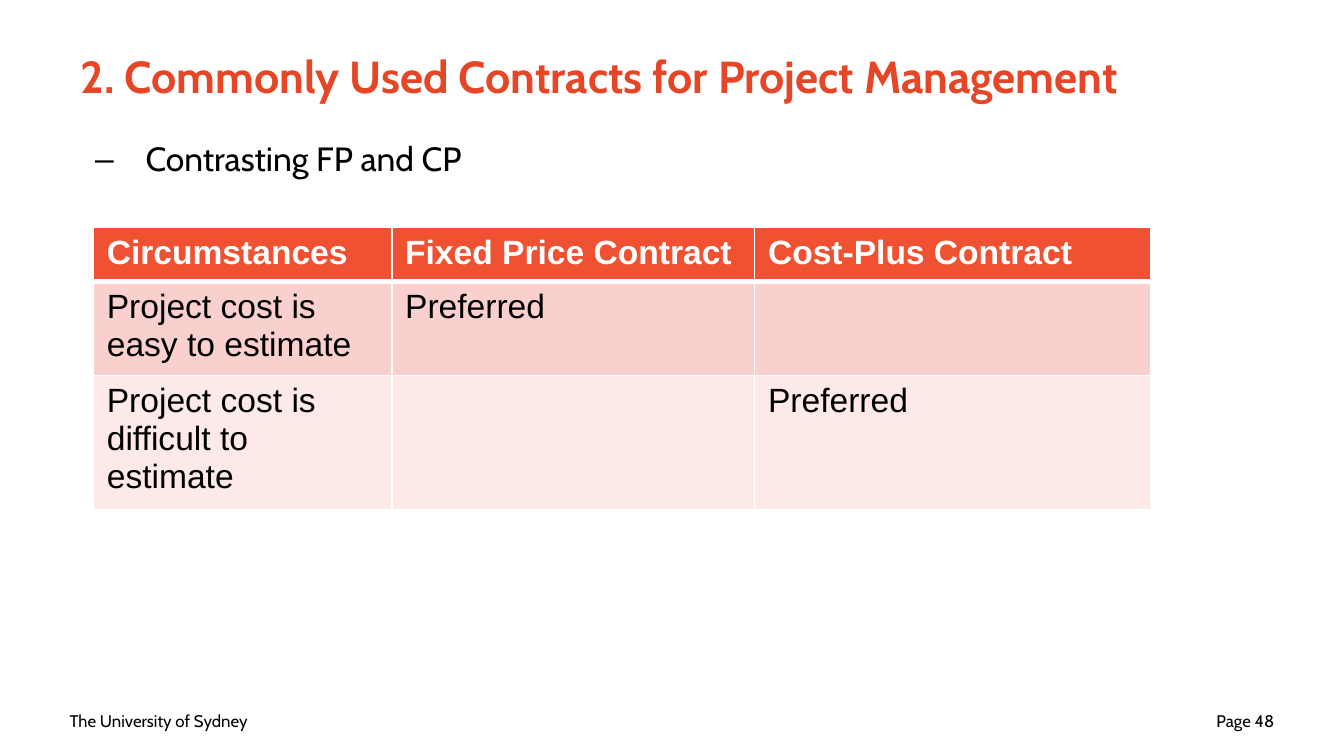
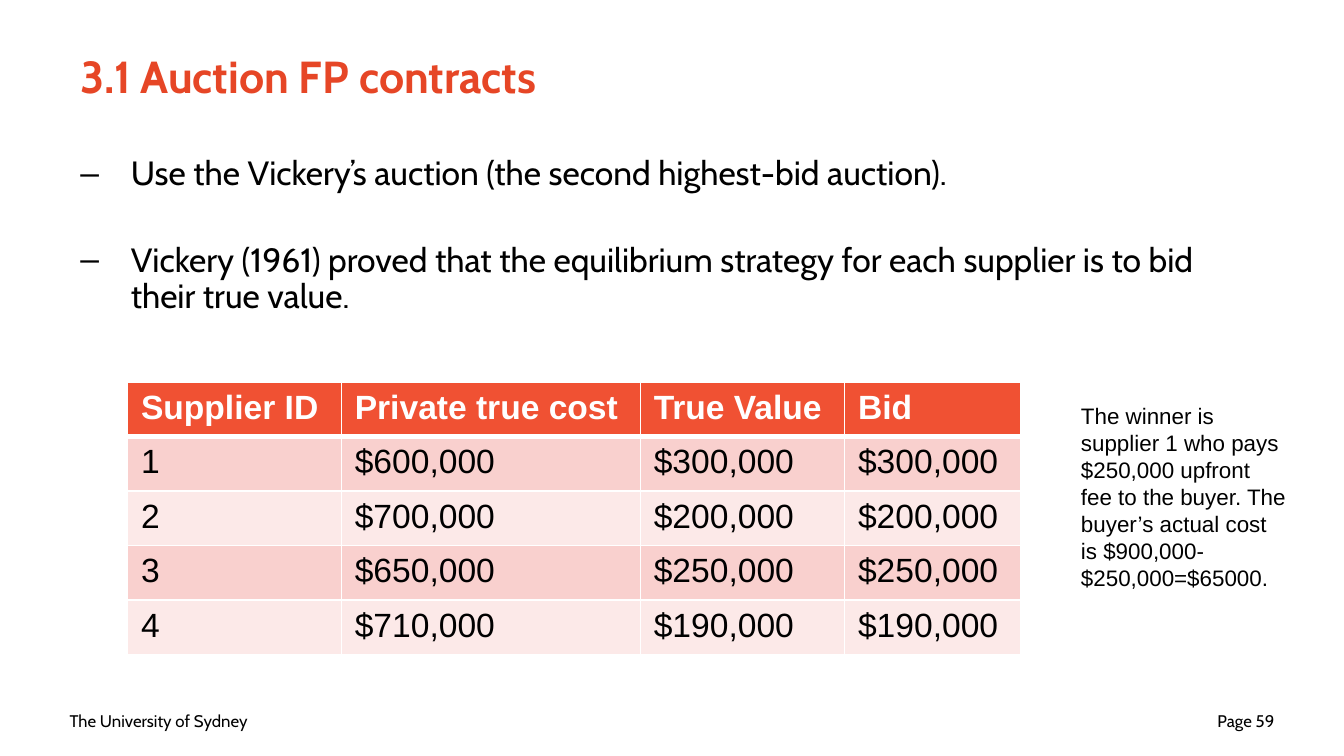
import dataclasses

import lxml.etree
import pptx
import pptx.dml.color
import pptx.enum.text
import pptx.oxml.ns
import pptx.util

EMU_PER_PX = 4572  # 200 px to the inch
ANCHOR = pptx.enum.text.MSO_ANCHOR
ALIGN = pptx.enum.text.PP_ALIGN


@dataclasses.dataclass(frozen=True)
class Theme:
    title_colour: str = "E64626"
    text_colour: str = "000000"
    paper: str = "FFFFFF"
    header_fill: str = "F05133"
    row_fills: tuple = ("F9D0CE", "FCE9E8")
    slide_font: str = "Cabin"
    table_font: str = "Arial"
    title_size: int = 24
    body_size: int = 18
    note_size: int = 12
    footer_size: int = 9
    thin: int = 1
    thick: int = 3


THEME = Theme()
SLIDE_SIZE = (2000, 1125)
TITLE_BOX = (100, 19, 1800, 188)
FOOTER_BOX = (84, 1043, 1832, 60)
FOOTER_PART = 466
BULLET_INDENT = 75
ROW_HEIGHT = 81


def px(length):
    return pptx.util.Emu(length * EMU_PER_PX)


def style(para, size, colour=THEME.text_colour, font=THEME.slide_font, bold=False):
    values = {"name": font, "size": pptx.util.Pt(size), "bold": bold}
    for name, value in values.items():
        setattr(para.font, name, value)
    para.font.color.rgb = pptx.dml.color.RGBColor.from_string(colour)


def add_text_frame(page, box, anchor=ANCHOR.TOP):
    frame = page.shapes.add_textbox(*map(px, box)).text_frame
    frame.word_wrap = True
    frame.vertical_anchor = anchor
    return frame


def add_line(page, box, text, size, anchor=ANCHOR.MIDDLE, align=ALIGN.LEFT, **look):
    """Add a text box that holds one styled paragraph."""
    para = add_text_frame(page, box, anchor).paragraphs[0]
    para.text = text
    para.alignment = align
    style(para, size, **look)


def add_footer(page, box, page_number):
    left, top, width, height = box
    add_line(page, (left, top, FOOTER_PART, height),
             "The University of Sydney", THEME.footer_size)
    add_line(page, (left + width - FOOTER_PART, top, FOOTER_PART, height),
             f"Page {page_number}", THEME.footer_size, align=ALIGN.RIGHT)


def add_page(deck, title, page_number):
    page = deck.slides.add_slide(deck.slide_layouts[6])
    add_footer(page, FOOTER_BOX, page_number)
    add_line(page, TITLE_BOX, title, THEME.title_size,
             colour=THEME.title_colour, bold=True)
    return page


def add_bullets(page, box, items, gap=0):
    frame = add_text_frame(page, box)
    for index, item in enumerate(items):
        para = frame.add_paragraph() if index else frame.paragraphs[0]
        para.text = item
        properties = para._p.get_or_add_pPr()
        properties.set("marL", str(px(BULLET_INDENT)))
        properties.set("indent", str(-px(BULLET_INDENT)))
        for tag, name, value in (("a:buFont", "typeface", THEME.table_font),
                                 ("a:buChar", "char", "–")):
            lxml.etree.SubElement(properties, pptx.oxml.ns.qn(tag)).set(name, value)
        para.line_spacing = 0.9
        if index:
            para.space_before = pptx.util.Pt(gap)
        style(para, THEME.body_size)


def set_borders(cell, top, bottom):
    properties = cell._tc.get_or_add_tcPr()
    widths = {"lnL": THEME.thin, "lnR": THEME.thin, "lnT": top, "lnB": bottom}
    for side, width in widths.items():
        line = lxml.etree.SubElement(properties, pptx.oxml.ns.qn(f"a:{side}"))
        line.set("w", str(pptx.util.Pt(width)))
        fill = lxml.etree.SubElement(line, pptx.oxml.ns.qn("a:solidFill"))
        colour = lxml.etree.SubElement(fill, pptx.oxml.ns.qn("a:srgbClr"))
        colour.set("val", THEME.paper)


def add_banded_table(page, left, top, height, column_widths, rows):
    """Add a table whose frame has the given height; rows grow with their text."""
    size = (sum(column_widths), ROW_HEIGHT * len(rows))
    holder = page.shapes.add_table(
        len(rows), len(column_widths), *map(px, (left, top, *size)))
    holder.height = px(height)
    table = holder.table
    for column, width in zip(table.columns, column_widths):
        column.width = px(width)
    for row_index, row in enumerate(rows):
        is_header = row_index == 0
        fill = THEME.header_fill if is_header else THEME.row_fills[(row_index - 1) % 2]
        for column_index, text in enumerate(row):
            cell = table.cell(row_index, column_index)
            set_borders(cell,
                        top=THEME.thick if row_index == 1 else THEME.thin,
                        bottom=THEME.thick if is_header else THEME.thin)
            cell.fill.solid()
            cell.fill.fore_color.rgb = pptx.dml.color.RGBColor.from_string(fill)
            cell.text = text
            style(cell.text_frame.paragraphs[0], THEME.body_size,
                  colour=THEME.paper if is_header else THEME.text_colour,
                  font=THEME.table_font, bold=is_header)


def add_contract_page(deck):
    page = add_page(deck, "2. Commonly Used Contracts for Project Management", 48)
    add_bullets(page, (122, 202, 1540, 800), ["Contrasting FP and CP"])
    add_banded_table(page, 139, 338, 422, (444, 540, 590), [
        ("Circumstances", "Fixed Price Contract", "Cost-Plus Contract"),
        ("Project cost is easy to estimate", "Preferred", ""),
        ("Project cost is difficult to estimate", "", "Preferred"),
    ])


def add_auction_page(deck):
    page = add_page(deck, "3.1 Auction FP contracts", 59)
    add_bullets(page, (100, 223, 1800, 782), [
        "Use the Vickery’s auction (the second highest-bid auction).",
        "Vickery (1961) proved that the equilibrium strategy for each supplier"
        " is to bid their true value.",
    ], gap=27)
    bids = [
        ("1", "$600,000", "$300,000"),
        ("2", "$700,000", "$200,000"),
        ("3", "$650,000", "$250,000"),
        ("4", "$710,000", "$190,000"),
    ]
    add_banded_table(page, 190, 569, 406, (318, 445, 304, 262), [
        ("Supplier ID", "Private true cost", "True Value", "Bid"),
        *((supplier, cost, value, value) for supplier, cost, value in bids),
    ])
    add_line(page, (1589, 589, 346, 302),
             "The winner is supplier 1 who pays $250,000 upfront fee to the buyer."
             " The buyer’s actual cost is $900,000-$250,000=$65000.",
             THEME.note_size, anchor=ANCHOR.TOP, font=THEME.table_font)


def main():
    deck = pptx.Presentation()
    deck.slide_width, deck.slide_height = map(px, SLIDE_SIZE)
    add_contract_page(deck)
    add_auction_page(deck)
    deck.save("out.pptx")


if __name__ == "__main__":
    main()
